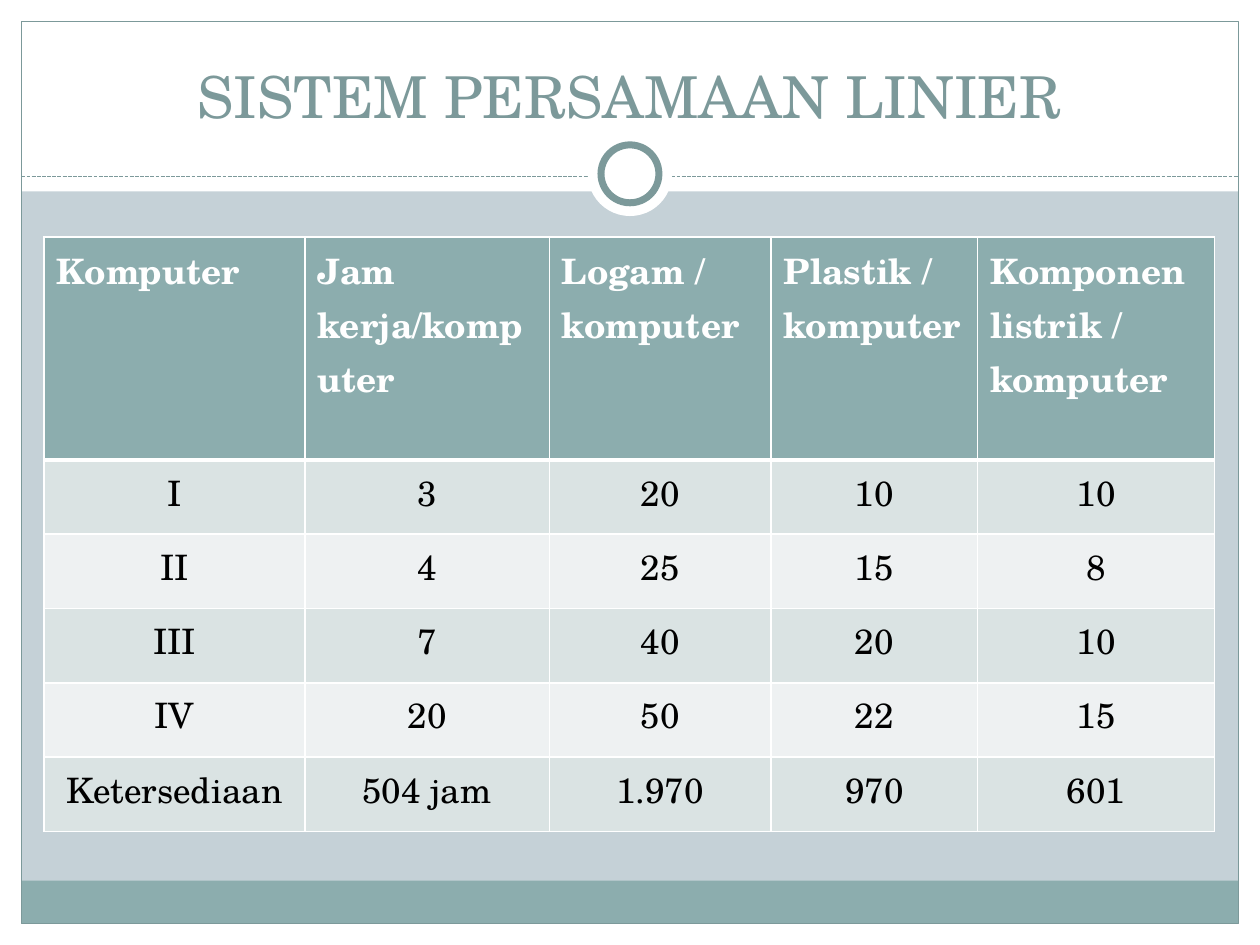
import pptx
import pptx.util
import pptx.dml.color
import pptx.enum.dml
import pptx.enum.shapes
import pptx.enum.text
import pptx.oxml
import pptx.oxml.ns

WIDTH, HEIGHT = 10, 7.5
MARGIN = 0.17
FONT = "TeX Gyre Schola"
COLORS = {
    "background": "C5D1D7",
    "paper": "FFFFFF",
    "accent": "8CADAE",
    "outline": "7C999A",
    "odd_row": "DAE3E3",
    "even_row": "EEF1F2",
    "ink": "000000",
}
HEADINGS = ["Komputer", "Jam kerja/komputer", "Logam / komputer",
            "Plastik / komputer", "Komponen listrik / komputer"]
REQUIREMENTS = [
    ["I", "3", "20", "10", "10"],
    ["II", "4", "25", "15", "8"],
    ["III", "7", "40", "20", "10"],
    ["IV", "20", "50", "22", "15"],
    ["Ketersediaan", "504 jam", "1.970", "970", "601"],
]
COLUMN_WIDTHS = [2.07, 1.94, 1.76, 1.64, 1.88]
HEADER_HEIGHT, ROW_HEIGHT = 1.77, 0.59


def inches(*lengths):
    return [pptx.util.Inches(length) for length in lengths]


def color(name):
    return pptx.dml.color.RGBColor.from_string(COLORS[name])


def style_text(paragraph, size, color_name, align, bold=False):
    paragraph.alignment = align
    for run in paragraph.runs:
        run.font.name = FONT
        run.font.size = pptx.util.Pt(size)
        run.font.bold = bold
        run.font.color.rgb = color(color_name)


def add_panel(slide, box, fill=None, line=None, line_width=0.75, kind="RECTANGLE"):
    panel = slide.shapes.add_shape(
        getattr(pptx.enum.shapes.MSO_SHAPE, kind), *inches(*box))
    panel.shadow.inherit = False
    if fill:
        panel.fill.solid()
        panel.fill.fore_color.rgb = color(fill)
    else:
        panel.fill.background()
    if line:
        panel.line.color.rgb = color(line)
        panel.line.width = pptx.util.Pt(line_width)
    else:
        panel.line.fill.background()


def add_circle(slide, center_y, diameter, **style):
    box = (WIDTH / 2 - diameter / 2, center_y - diameter / 2, diameter, diameter)
    add_panel(slide, box, fill="paper", kind="OVAL", **style)


def add_divider(slide, y):
    divider = slide.shapes.add_connector(
        pptx.enum.shapes.MSO_CONNECTOR.STRAIGHT,
        *inches(MARGIN, y, WIDTH - MARGIN, y))
    divider.line.color.rgb = color("outline")
    divider.line.width = pptx.util.Pt(0.75)
    divider.line.dash_style = pptx.enum.dml.MSO_LINE.SQUARE_DOT
    divider._element.spPr.append(pptx.oxml.parse_xml(
        f'<a:effectLst {pptx.oxml.ns.nsdecls("a")}/>'))


def add_frame(slide):
    inner_width = WIDTH - 2 * MARGIN
    bottom = HEIGHT - MARGIN
    for box in [(0, bottom, WIDTH, MARGIN), (0, 0, WIDTH, 1.52),
                (0, 0, MARGIN, HEIGHT), (WIDTH - MARGIN, 0, MARGIN, HEIGHT)]:
        add_panel(slide, box, fill="paper")
    add_panel(slide, (MARGIN, bottom - 0.34, inner_width, 0.34), fill="accent")
    add_panel(slide, (MARGIN, MARGIN, inner_width, HEIGHT - 2 * MARGIN), line="outline")
    add_divider(slide, 1.4)
    add_circle(slide, 1.38, 0.67)
    add_circle(slide, 1.38, 0.46, line="outline", line_width=4)


def place_title(slide, text):
    title = slide.shapes.title
    slide.shapes._spTree.append(title._element)
    title.left, title.top, title.width, title.height = inches(0.33, 0.25, 9.33, 0.83)
    title.text_frame.text = text
    title.text_frame.vertical_anchor = pptx.enum.text.MSO_ANCHOR.BOTTOM
    style_text(title.text_frame.paragraphs[0], 33, "outline",
               pptx.enum.text.PP_ALIGN.CENTER)


def set_borders(cell, widths):
    properties = cell._tc.get_or_add_tcPr()
    for position, (side, width) in enumerate(widths.items()):
        properties.insert(position, pptx.oxml.parse_xml(
            f'<a:{side} {pptx.oxml.ns.nsdecls("a")} w="{pptx.util.Pt(width)}">'
            f'<a:solidFill><a:srgbClr val="{COLORS["paper"]}"/></a:solidFill>'
            f'</a:{side}>'))


def fill_cell(cell, text, row):
    header = row == 0
    fill = "accent" if header else "odd_row" if row % 2 else "even_row"
    cell.fill.solid()
    cell.fill.fore_color.rgb = color(fill)
    cell.text_frame.text = text
    align = pptx.enum.text.PP_ALIGN
    style_text(cell.text_frame.paragraphs[0], 20, "paper" if header else "ink",
               align.LEFT if header else align.CENTER, bold=header)
    set_borders(cell, {"lnL": 1, "lnR": 1, "lnT": 3 if row == 1 else 1,
                       "lnB": 3 if header else 1})


def add_requirements_table(slide):
    rows = [HEADINGS, *REQUIREMENTS]
    heights = [HEADER_HEIGHT] + [ROW_HEIGHT] * len(REQUIREMENTS)
    table = slide.shapes.add_table(
        len(rows), len(HEADINGS),
        *inches(0.35, 1.88, sum(COLUMN_WIDTHS), sum(heights))).table
    for column, width in zip(table.columns, COLUMN_WIDTHS):
        column.width = pptx.util.Inches(width)
    for row, (texts, height) in enumerate(zip(rows, heights)):
        table.rows[row].height = pptx.util.Inches(height)
        for column, text in enumerate(texts):
            fill_cell(table.cell(row, column), text, row)


def main():
    presentation = pptx.Presentation()
    presentation.slide_width, presentation.slide_height = inches(WIDTH, HEIGHT)
    slide = presentation.slides.add_slide(presentation.slide_layouts[5])
    slide.background.fill.solid()
    slide.background.fill.fore_color.rgb = color("background")
    add_frame(slide)
    place_title(slide, "SISTEM PERSAMAAN LINIER")
    add_requirements_table(slide)
    presentation.save("out.pptx")


if __name__ == "__main__":
    main()
